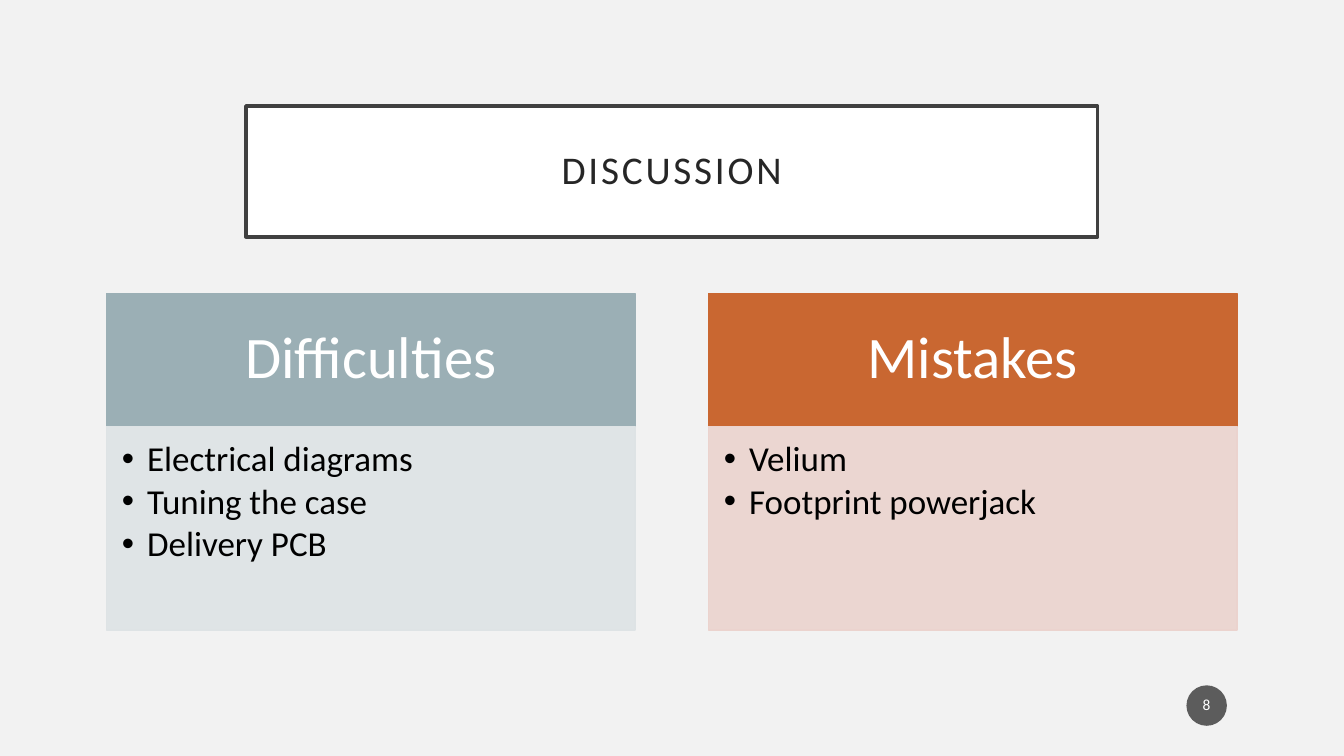
from lxml.etree import SubElement
from pptx import Presentation
from pptx.dml.color import RGBColor
from pptx.enum.shapes import MSO_SHAPE
from pptx.enum.text import MSO_ANCHOR, MSO_AUTO_SIZE, PP_ALIGN
from pptx.oxml.ns import qn
from pptx.util import Cm, Pt

TITLE = "DISCUSSION"
PAGE = "8"
COLUMNS = [
    ("Difficulties", "9BAFB5", "DEE3E5",
     ["Electrical diagrams", "Tuning the case", "Delivery PCB"]),
    ("Mistakes", "C96731", "EBD3CE", ["Velium", "Footprint powerjack"]),
]
LEFT, STEP, WIDTH = 2.69, 15.17, 13.31
HEAD_TOP, HEAD_H = 7.39, 3.36
BODY_H = 5.13


def paint(color_format, color, alpha=100):
    color_format.rgb = RGBColor.from_string(color)
    if alpha < 100:
        clr = color_format._xFill.find(qn("a:srgbClr"))
        SubElement(clr, qn("a:alpha")).set("val", str(alpha * 1000))


def style_box(sp, box, fill, line=None, weight=1, alpha=100):
    sp.left, sp.top, sp.width, sp.height = [Cm(v) for v in box]
    sp.fill.solid()
    paint(sp.fill.fore_color, fill)
    if alpha < 100:
        clr = sp.fill._xPr.find(qn("a:solidFill")).find(qn("a:srgbClr"))
        SubElement(clr, qn("a:alpha")).set("val", str(alpha * 1000))
    if line:
        sp.line.width = Pt(weight)
        paint(sp.line.color, line)
    else:
        sp.line.fill.background()


def write(sp, lines, size, color, insets, align=PP_ALIGN.CENTER,
          anchor=MSO_ANCHOR.MIDDLE, spacing=0.9, after=0):
    tf = sp.text_frame
    tf.text = "\n".join(lines)
    tf.word_wrap = True
    tf.auto_size = MSO_AUTO_SIZE.NONE
    tf.vertical_anchor = anchor
    tf.margin_left, tf.margin_top, tf.margin_right, tf.margin_bottom = [
        Cm(v) for v in insets]
    for p in tf.paragraphs:
        p.alignment = align
        p.line_spacing = spacing
        p.space_before = Pt(0)
        p.space_after = Pt(after)
        p.font.size = Pt(size)
        p.font.name = "Calibri"
        p.font.bold = False
        paint(p.font.color, color)


def add_bullets(sp):
    for p in sp.text_frame.paragraphs:
        pPr = p._p.get_or_add_pPr()
        pPr.set("marL", str(Cm(0.64)))
        pPr.set("indent", str(Cm(-0.64)))
        bullet = pPr.makeelement(qn("a:buChar"), {"char": "•"})
        pPr.find(qn("a:defRPr")).addprevious(bullet)


def main():
    prs = Presentation()
    prs.slide_width, prs.slide_height = Cm(33.87), Cm(19.05)
    s = prs.slides.add_slide(prs.slide_layouts.get_by_name("Comparison"))
    s.background.fill.solid()
    paint(s.background.fill.fore_color, "F2F2F2")

    title = s.shapes.title
    style_box(title, (6.2, 2.67, 21.46, 3.3), "FFFFFF", "404040", 2.5)
    write(title, [TITLE], 28, "262626", [0.51] * 4)
    title.text_frame.paragraphs[0].runs[0].font._element.set("spc", "200")

    for i, (heading, dark, light, items) in enumerate(COLUMNS):
        x = LEFT + i * STEP
        head, body = s.placeholders[1 + 2 * i], s.placeholders[2 + 2 * i]
        style_box(head, (x, HEAD_TOP, WIDTH, HEAD_H), dark, dark)
        write(head, [heading], 42, "FFFFFF", (0.84, 0.48, 0.84, 0.48))
        style_box(body, (x, HEAD_TOP + HEAD_H, WIDTH, BODY_H), light, light, alpha=90)
        write(body, items, 25, "000000", (0.38, 0.38, 0.48, 0.56),
              PP_ALIGN.LEFT, MSO_ANCHOR.TOP, after=3.3)
        add_bullets(body)

    badge = s.shapes.add_shape(MSO_SHAPE.OVAL, 0, 0, 0, 0)
    badge.shadow.inherit = False
    style_box(badge, (29.9, 17.27, 1.02, 1.02), "1D1D1D", alpha=70)
    write(badge, [PAGE], 11, "FFFFFF", (0.05, 0.13, 0.05, 0.13))

    prs.save("out.pptx")


if __name__ == "__main__":
    main()
